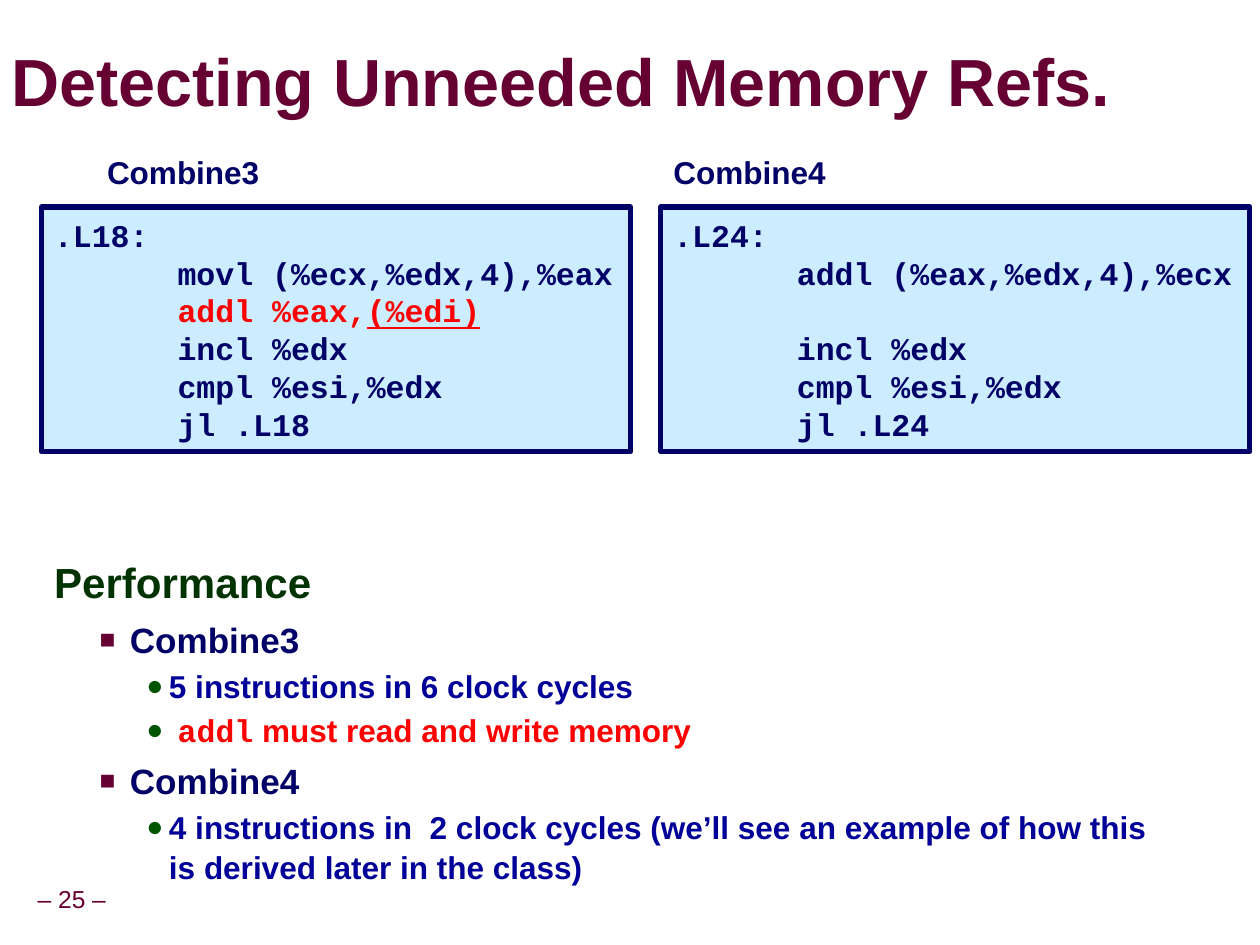
import pptx
import pptx.util
import pptx.dml.color
import pptx.enum.shapes
import pptx.enum.text
import pptx.oxml
import pptx.oxml.ns

Inches = pptx.util.Inches
Pt = pptx.util.Pt
RGBColor = pptx.dml.color.RGBColor
MSO_ANCHOR = pptx.enum.text.MSO_ANCHOR
PP_ALIGN = pptx.enum.text.PP_ALIGN

MAROON = RGBColor(0x66, 0x00, 0x33)
DARK_GREEN = RGBColor(0x00, 0x33, 0x00)
BULLET_GREEN = RGBColor(0x00, 0x54, 0x00)
NAVY = RGBColor(0x00, 0x00, 0x66)
BLUE = RGBColor(0x00, 0x00, 0x99)
RED = RGBColor(0xFF, 0x00, 0x00)
PALE_BLUE = RGBColor(0xCC, 0xEC, 0xFF)
SANS, MONO = "Arial", "Courier New"
NAMESPACE = pptx.oxml.ns.nsdecls("a")


def write_runs(paragraph, pieces, size, bold=True):
    """Fill a paragraph with (text, font, colour) pieces."""
    for text, font, color in pieces:
        run = paragraph.add_run()
        run.text = text
        run.font.name = font
        run.font.size = Pt(size)
        run.font.bold = bold
        run.font.color.rgb = color


def append_xml(parent, xml):
    """Append an element written with the a: prefix."""
    tag, rest = xml[:-1].split(">", 1)[0], xml[len(xml[:-1].split(">", 1)[0]):]
    closing = "/" if tag.endswith("/") else ""
    parent.append(pptx.oxml.parse_xml(f"{tag.rstrip('/')} {NAMESPACE}{closing}{rest}"))


deck = pptx.Presentation()
deck.slide_width = Inches(9.99)
deck.slide_height = Inches(7.49)
slide = deck.slides.add_slide(deck.slide_layouts[1])

# Title with a soft text shadow
title = slide.shapes.title
title.left, title.top = Inches(0.09), Inches(0.37)
title.width, title.height = Inches(9.85), Inches(0.62)
heading = title.text_frame
heading.auto_size = pptx.enum.text.MSO_AUTO_SIZE.NONE
heading.vertical_anchor = MSO_ANCHOR.MIDDLE
heading.margin_left = heading.margin_right = heading.margin_top = heading.margin_bottom = 0
heading.paragraphs[0].alignment = PP_ALIGN.LEFT
heading.paragraphs[0].line_spacing = 0.87
write_runs(heading.paragraphs[0], [("Detecting Unneeded Memory Refs.", SANS, MAROON)], 38)
title_shadow = pptx.oxml.parse_xml(
    f'<a:effectLst {NAMESPACE}><a:outerShdw blurRad="38100" dist="38100" dir="2700000">'
    '<a:srgbClr val="C0C0C0"/></a:outerShdw></a:effectLst>')
title_font = heading.paragraphs[0].runs[0].font
title_font.fill._xPr.find(pptx.oxml.ns.qn("a:solidFill")).addnext(title_shadow)

# Performance list: level -> size, indent, hanging, line spacing, space before, bullet
levels = [
    (24, 0.24, 0.24, 0.95, 12, None),
    (20, 0.6, 0.24, 1.0, 6, ("■", MAROON, 75)),
    (18, 0.91, 0.18, 1.07, 2, ("●", BULLET_GREEN, 90)),
]
findings = [
    (0, [("Performance", SANS, DARK_GREEN)]),
    (1, [("Combine3", SANS, NAVY)]),
    (2, [("5 instructions in 6 clock cycles", SANS, BLUE)]),
    (2, [(" ", SANS, BLUE), ("addl", MONO, RED), (" must read and write memory", SANS, RED)]),
    (1, [("Combine4", SANS, NAVY)]),
    (2, [("4 instructions in  2 clock cycles (we’ll see an example of how this "
          "is derived later in the class)", SANS, BLUE)]),
]
performance = slide.placeholders[1]
performance.left, performance.top = Inches(0.33), Inches(4.39)
performance.width, performance.height = Inches(9.04), Inches(2.56)
performance.text_frame.auto_size = pptx.enum.text.MSO_AUTO_SIZE.NONE
performance.text_frame.vertical_anchor = MSO_ANCHOR.TOP
for index, (level, pieces) in enumerate(findings):
    frame = performance.text_frame
    paragraph = frame.add_paragraph() if index else frame.paragraphs[0]
    size, indent, hanging, spacing, before, bullet = levels[level]
    paragraph.level = level
    paragraph.line_spacing = spacing
    paragraph.space_before = Pt(before)
    write_runs(paragraph, pieces, size)
    properties = paragraph._p.get_or_add_pPr()
    properties.set("marL", str(Inches(indent)))
    properties.set("indent", str(-Inches(hanging)))
    if bullet:
        mark, color, percent = bullet
        append_xml(properties, f'<a:buClr><a:srgbClr val="{color}"/></a:buClr>')
        append_xml(properties, f'<a:buSzPct val="{percent * 1000}"/>')
        append_xml(properties, f'<a:buFont typeface="{SANS}"/>')
        append_xml(properties, f'<a:buChar char="{mark}"/>')
    else:
        append_xml(properties, "<a:buNone/>")

# Assembly listings: name, name position, box position, lines of (text, colour) pieces
LINE_PITCH = 21.6
listings = [
    ("Combine3", 0.75, 0.33, [
        [(".L18:", NAVY)],
        [("\tmovl (%ecx,%edx,4),%eax", NAVY)],
        [("\taddl %eax,", RED), ("(%edi)", RED)],
        [("\tincl %edx", NAVY)],
        [("\tcmpl %esi,%edx", NAVY)],
        [("\tjl .L18", NAVY)],
    ]),
    ("Combine4", 5.24, 5.24, [
        [(".L24:", NAVY)],
        [("\taddl (%eax,%edx,4),%ecx", NAVY)],
        [],
        [("\tincl %edx", NAVY)],
        [("\tcmpl %esi,%edx", NAVY)],
        [("\tjl .L24", NAVY)],
    ]),
]
for name, name_left, code_left, lines in listings:
    label = slide.shapes.add_textbox(Inches(name_left), Inches(1.16), Inches(1.42), Inches(0.4))
    label.text_frame.word_wrap = False
    write_runs(label.text_frame.paragraphs[0], [(name, SANS, NAVY)], 18)

    code = slide.shapes.add_shape(pptx.enum.shapes.MSO_SHAPE.RECTANGLE,
                                  Inches(code_left), Inches(1.64), Inches(4.67), Inches(1.94))
    code.shadow.inherit = False
    code.fill.solid()
    code.fill.fore_color.rgb = PALE_BLUE
    code.line.color.rgb = NAVY
    code.line.width = Pt(3)
    code.text_frame.word_wrap = True
    code.text_frame.vertical_anchor = MSO_ANCHOR.MIDDLE
    gap = 0
    paragraph = code.text_frame.paragraphs[0]
    for pieces in lines:
        if not pieces:  # an instruction that is no longer needed
            gap = LINE_PITCH
            continue
        if paragraph.runs:
            paragraph = code.text_frame.add_paragraph()
        paragraph.alignment = PP_ALIGN.LEFT
        paragraph.line_spacing = Pt(LINE_PITCH)
        paragraph.space_before = Pt(gap)
        gap = 0
        write_runs(paragraph, [(text, MONO, color) for text, color in pieces], 18)
        append_xml(paragraph._p.get_or_add_pPr(),
                   f'<a:tabLst><a:tab pos="{Inches(0.98)}" algn="l"/>'
                   f'<a:tab pos="{Inches(2.46)}" algn="l"/></a:tabLst>')
        for run in paragraph.runs[1:]:  # the memory operand
            run.font.underline = True

# Page number
page = slide.shapes.add_textbox(Inches(0.23), Inches(6.98), Inches(0.68), Inches(0.32))
page.text_frame.word_wrap = False
page.text_frame.vertical_anchor = MSO_ANCHOR.MIDDLE
page.text_frame.margin_left = page.text_frame.margin_right = Inches(0.05)
page.text_frame.paragraphs[0].alignment = PP_ALIGN.CENTER
page.text_frame.paragraphs[0].line_spacing = 0.9
write_runs(page.text_frame.paragraphs[0], [("– 25 –", SANS, MAROON)], 14, bold=False)

deck.save("out.pptx")
